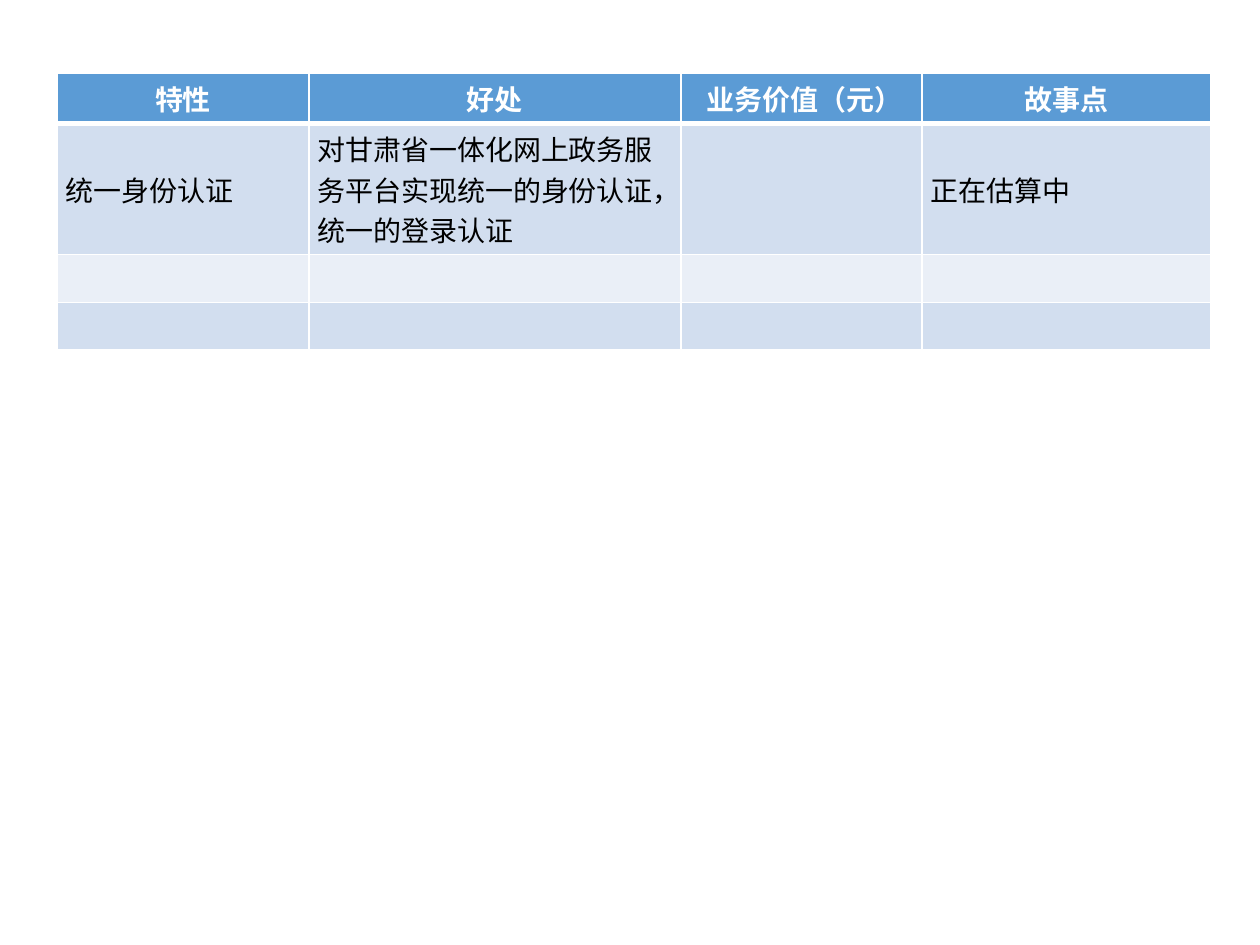
from dataclasses import dataclass

from lxml.etree import SubElement
from pptx import Presentation
from pptx.dml.color import RGBColor
from pptx.enum.text import MSO_ANCHOR as Anchor, PP_ALIGN as Align
from pptx.oxml.ns import qn
from pptx.table import _Cell as Cell
from pptx.util import Emu, Pt

SCALE = 914400 // 126
FONT = "Calibri"
SIZE = 16
WHITE = RGBColor(0xFF, 0xFF, 0xFF)
BLACK = RGBColor(0x00, 0x00, 0x00)
BLUE = RGBColor(0x5B, 0x9B, 0xD5)
DARK = RGBColor(0xD2, 0xDE, 0xEF)
LIGHT = RGBColor(0xEA, 0xEF, 0xF7)


@dataclass(frozen=True)
class Style:
    fill: RGBColor
    ink: RGBColor = BLACK
    bold: bool = False
    align: Align = Align.LEFT
    top: int = 1
    base: int = 1


@dataclass(frozen=True)
class Row:
    style: Style
    texts: tuple[str, ...] = ("", "", "", "")


HEAD = Style(BLUE, WHITE, True, Align.CENTER, base=3)
FIRST = Style(DARK, top=3)
WIDTHS = (252, 372, 241, 289)
HEIGHT = 48
ROWS = (
    Row(HEAD, ("特性", "好处", " 业务价值（元）", "故事点")),
    Row(FIRST, (
        "统一身份认证",
        "对甘肃省一体化网上政务服务平台实现统一的身份认证，统一的登录认证",
        "",
        "正在估算中",
    )),
    Row(Style(LIGHT)),
    Row(Style(DARK)),
)


def px(n: int) -> Emu:
    return Emu(n * SCALE)


def edge(cell: Cell, side: str, width: int) -> None:
    line = SubElement(cell._tc.get_or_add_tcPr(), qn(f"a:ln{side}"), w=str(Pt(width)))
    fill = SubElement(line, qn("a:solidFill"))
    SubElement(fill, qn("a:srgbClr"), val=str(WHITE))


def draw_cell(cell: Cell, text: str, style: Style) -> None:
    cell.margin_left = cell.margin_right = px(9)
    cell.margin_top = cell.margin_bottom = px(5)
    cell.vertical_anchor = Anchor.MIDDLE
    for side, width in (("L", 1), ("R", 1), ("T", style.top), ("B", style.base)):
        edge(cell, side, width)
    cell.fill.solid()
    cell.fill.fore_color.rgb = style.fill

    para = cell.text_frame.paragraphs[0]
    para.alignment = style.align
    if not text:
        # Keeps an empty row from growing to the default text size
        SubElement(para._p, qn("a:endParaRPr"), sz=str(SIZE * 100))
        return
    run = para.add_run()
    run.text = text
    run.font.name = FONT
    run.font.size = Pt(SIZE)
    run.font.bold = style.bold
    run.font.color.rgb = style.ink


def main() -> None:
    deck = Presentation()
    deck.slide_width, deck.slide_height = px(1260), px(945)
    slide = deck.slides.add_slide(deck.slide_layouts[6])
    frame = slide.shapes.add_table(
        len(ROWS), len(WIDTHS), px(57), px(73), px(sum(WIDTHS)), px(HEIGHT * len(ROWS))
    )
    table = frame.table
    table.horz_banding = False
    for col, width in zip(table.columns, WIDTHS):
        col.width = px(width)
    for line, row in zip(table.rows, ROWS):
        line.height = px(HEIGHT)
        for cell, text in zip(line.cells, row.texts):
            draw_cell(cell, text, row.style)
    frame.height = px(256)
    deck.save("out.pptx")


if __name__ == "__main__":
    main()
